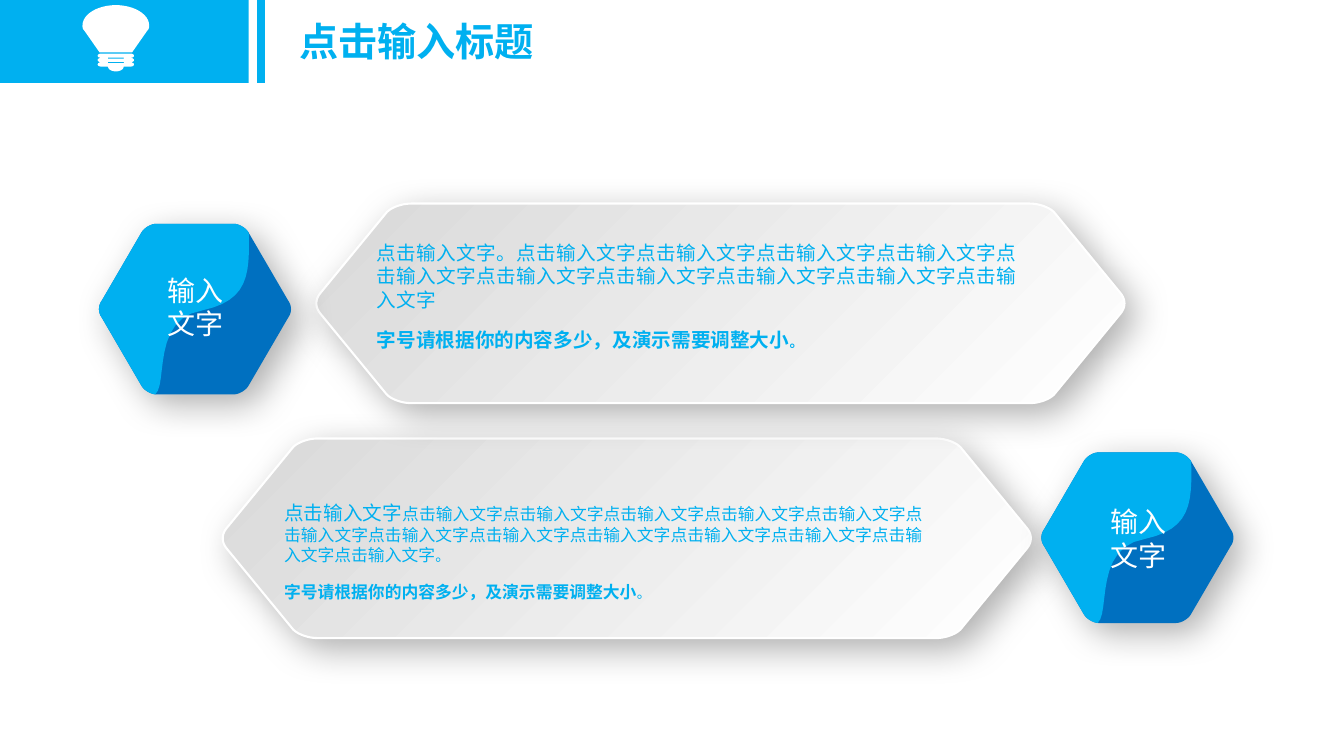
from lxml import etree
from pptx import Presentation
from pptx.dml.color import RGBColor
from pptx.enum.shapes import MSO_SHAPE
from pptx.enum.text import PP_ALIGN
from pptx.oxml.ns import qn
from pptx.util import Cm, Pt

RECT = MSO_SHAPE.RECTANGLE
LEFT, CENTER, JUST = PP_ALIGN.LEFT, PP_ALIGN.CENTER, PP_ALIGN.JUSTIFY
SKY = RGBColor(0x00, 0xB0, 0xF0)
BLUE = RGBColor(0x00, 0x70, 0xC0)
GREY = RGBColor(0xD9, 0xD9, 0xD9)
WHITE = RGBColor(0xFF, 0xFF, 0xFF)
FONT = "Noto Sans CJK SC"

# Content: all lengths in cm; a run is (text, size, bold)
TITLE = [[("点击输入标题", 28, True)]]
LABEL = [[("输入文字", 20, False)]]
PHRASE = "点击输入文字"
HINT = "字号请根据你的内容多少，及演示需要调整大小"
ROWS = [
    {"panel": (5.61, 11.05), "badge": (26.24, 11.4), "label": (27.61, 12.62),
     "body": (7.16, 12.62, 16.1, 2.57),
     "text": [[(PHRASE, 14, False), (PHRASE * 13, 12, False), ("。", 10.5, False)],
              [(HINT, 12, True), ("。", 10, False)]]},
    {"panel": (7.97, 5.13), "badge": (2.49, 5.64), "label": (3.86, 6.78),
     "body": (9.5, 6.07, 16.13, 2.82),
     "text": [[(PHRASE + "。" + PHRASE * 10, 14, False)],
              [(HINT, 14, True), ("。", 10, True)]]},
]
BARS = [(0, 6.27), (6.48, 0.2)]
BAR_H = 2.09

# Top left corner and left tip of each hexagon, as cubic curves
PANEL = {"size": (20.37, 5.03),
         "corner": [(2.39, 0), (2.16, 0), (1.86, 0.1), (1.75, 0.25)],
         "tip": [(0.1, 2.26), (-0.03, 2.42), (-0.03, 2.61), (0.1, 2.77)]}
BADGE = {"size": (4.85, 4.3),
         "corner": [(1.45, 0), (1.32, 0), (1.14, 0.1), (1.07, 0.23)],
         "tip": [(0.08, 1.93), (-0.02, 2.06), (-0.02, 2.24), (0.08, 2.37)]}
SWOOSH = [[(3.78, 0.23), (3.81, 1.3), (3.76, 1.93), (2.62, 2.18)],
          [(2.62, 2.18), (1.32, 2.39), (1.75, 4.04), (1.42, 4.3)]]

# Right half of the bulb, measured from its axis
AXIS = 2.92
GLASS = [[(0, 0.13), (0.46, 0.13), (0.84, 0.36), (0.84, 0.64)],
         [(0.84, 0.64), (0.84, 0.67), (0.84, 0.71), (0.82, 0.74)]]
NECK = [(0.78, 0.79), (0.41, 1.32)]
RIDGES = [1.35, 1.46, 1.57]
RIDGE_H = 0.11
FOOT = [(0.18, 1.73), (0.15, 1.77), (0.08, 1.8), (0, 1.8)]
SLOTS = [1.45, 1.56]
SLOT_H = 0.03

prs = Presentation()
prs.slide_width, prs.slide_height = Cm(33.87), Cm(19.05)
slide = prs.slides.add_slide(prs.slide_layouts[6])
shapes = slide.shapes


def curve(pts, n=12):
    """Points along a cubic curve."""
    out = []
    for i in range(n + 1):
        t = i / n
        k = ((1 - t) ** 3, 3 * t * (1 - t) ** 2, 3 * t * t * (1 - t), t ** 3)
        out.append(tuple(sum(a * p[d] for a, p in zip(k, pts)) for d in (0, 1)))
    return out


def flip(pts, w):
    """Mirror left to right within width w, in reverse order."""
    return [(w - x, y) for x, y in reversed(pts)]


def half(hexa):
    """Left half of a hexagon, from top to bottom."""
    h = hexa["size"][1]
    top = curve(hexa["corner"])
    return top + curve(hexa["tip"]) + [(x, h - y) for x, y in reversed(top)]


def paint(shape, color):
    shape.shadow.inherit = False
    shape.fill.solid()
    shape.fill.fore_color.rgb = color
    shape.line.fill.background()


def draw(rings, x, y, color):
    pen = None
    for ring in rings:
        pts = [(Cm(x + px), Cm(y + py)) for px, py in ring]
        if pen is None:
            pen = shapes.build_freeform(*pts[0])
        else:
            pen.move_to(*pts[0])
        pen.add_line_segments(pts[1:], close=True)
    shape = pen.convert_to_shape()
    paint(shape, color)
    return shape


def shade(shape):
    """Soft shadow to the lower right."""
    fx = shape._element.spPr.find(qn("a:effectLst"))
    cast = etree.SubElement(fx, qn("a:outerShdw"), blurRad=str(Pt(26)), dist=str(Pt(10)),
                            dir="2700000", algn="tl", rotWithShape="0")
    tint = etree.SubElement(cast, qn("a:srgbClr"), val="000000")
    etree.SubElement(tint, qn("a:alpha"), val="31000")


def write(box, paras, color=SKY, align=JUST, pad=(0, 0), gap=0, wrap=True):
    frame = shapes.add_textbox(*(Cm(v) for v in box)).text_frame
    frame.word_wrap = wrap
    frame.margin_left = frame.margin_right = Cm(pad[0])
    frame.margin_top = frame.margin_bottom = Cm(pad[1])
    for i, runs in enumerate(paras):
        para = frame.add_paragraph() if i else frame.paragraphs[0]
        para.alignment = align
        para.space_before = Pt(gap if i else 0)
        for text, size, bold in runs:
            run = para.add_run()
            run.text = text
            font = run.font
            font.name, font.size, font.bold = FONT, Pt(size), bold
            font.color.rgb = color
            etree.SubElement(run._r.get_or_add_rPr(), qn("a:ea"), typeface=FONT)


def panel(x, y):
    side = half(PANEL)
    shape = draw([side + flip(side, PANEL["size"][0])], x, y, GREY)
    shape.fill.gradient()
    shape.fill.gradient_angle = 315
    for stop, color, at in zip(shape.fill.gradient_stops, (GREY, WHITE), (0, 1)):
        stop.color.rgb = color
        stop.position = at
    shape.line.color.rgb = WHITE
    shape.line.width = Pt(1.5)
    shade(shape)


def badge(x, y):
    side, w = half(BADGE), BADGE["size"][0]
    shade(draw([side + flip(side, w)], x, y, BLUE))
    edge = flip(curve(BADGE["corner"]), w)[::-1]
    wave = [p for part in SWOOSH for p in curve(part)]
    draw([side[::-1] + edge + wave], x, y, SKY)


def bulb():
    glass = [p for part in GLASS for p in curve(part)] + NECK
    base = []
    for y in RIDGES:
        end = y + RIDGE_H
        base += curve([(0.36, y), (0.49, y), (0.49, end), (0.36, end)])
    base += [(0.2, 1.68)] + curve(FOOT)
    slots = [[(0.2, y), (0.2, y + SLOT_H)] for y in SLOTS]
    draw([part + flip(part, 0) for part in (glass, base, *slots)], AXIS, 0, WHITE)


for row in ROWS:
    panel(*row["panel"])
for row in ROWS:
    badge(*row["badge"])
    write((*row["label"], 2.16, 1.9), LABEL, color=WHITE, align=CENTER, pad=(0.18, 0.1))
    write(row["body"], row["text"], gap=12)
for x, w in BARS:
    paint(shapes.add_shape(RECT, Cm(x), 0, Cm(w), Cm(BAR_H)), SKY)
bulb()
write((7.29, 0.3, 6.5, 1.45), TITLE, align=LEFT, pad=(0.25, 0.13), wrap=False)

prs.save("out.pptx")
